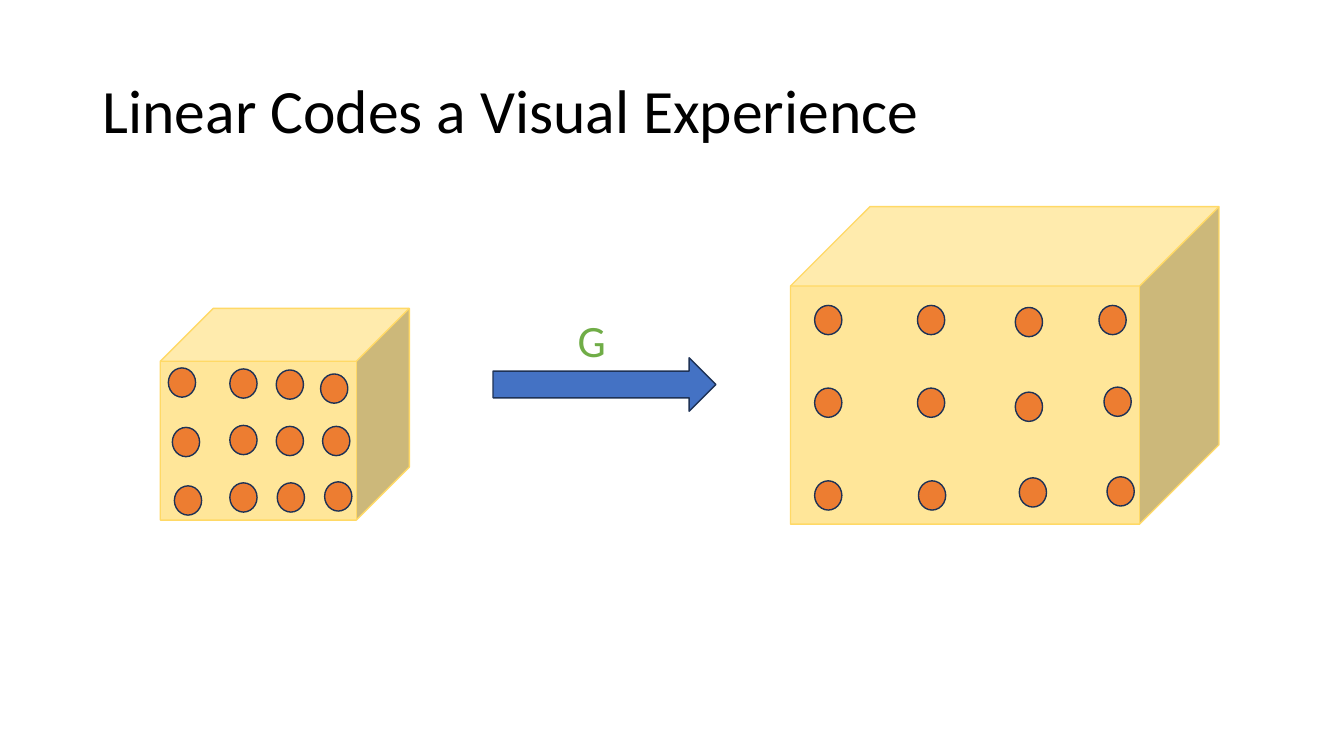
import pptx
import pptx.dml.color
import pptx.enum.shapes
import pptx.enum.text
import pptx.util

Inches = pptx.util.Inches
SHAPE = pptx.enum.shapes.MSO_SHAPE
ANCHOR = pptx.enum.text.MSO_ANCHOR

DOT_SIZE = (0.27, 0.29)
# Dot offsets from the top left corner of each cube, one line per row of dots
MESSAGE_DOTS = [
    (0.08, 0.59), (0.69, 0.60), (1.15, 0.61), (1.59, 0.65),
    (0.12, 1.18), (0.69, 1.16), (1.15, 1.17), (1.61, 1.17),
    (0.14, 1.76), (0.69, 1.73), (1.16, 1.73), (1.63, 1.72),
]
CODEWORD_DOTS = [
    (0.24, 0.98), (1.26, 0.98), (2.23, 1.00), (3.06, 0.98),
    (0.24, 1.80), (1.26, 1.80), (2.23, 1.84), (3.11, 1.79),
    (0.24, 2.72), (1.27, 2.72), (2.27, 2.69), (3.14, 2.68),
]


def color(value):
    return pptx.dml.color.RGBColor.from_string(value)


def add_filled_shape(page, kind, box, fill, line):
    shape = page.shapes.add_shape(kind, *map(Inches, box))
    shape.shadow.inherit = False
    shape.fill.solid()
    shape.fill.fore_color.rgb = color(fill)
    shape.line.color.rgb = color(line)
    shape.line.width = pptx.util.Pt(1)
    return shape


def add_text(page, box, text, size, fill, wrap=True, anchor=ANCHOR.TOP):
    frame = page.shapes.add_textbox(*map(Inches, box)).text_frame
    frame.word_wrap = wrap
    frame.vertical_anchor = anchor
    para = frame.paragraphs[0]
    span = para.add_run()
    span.text = text
    span.font.name = "Calibri"
    span.font.size = pptx.util.Pt(size)
    span.font.color.rgb = color(fill)
    return para


def add_title(page, box):
    para = add_text(page, box, "Linear Codes a Visual Experience", 44, "000000",
                    anchor=ANCHOR.MIDDLE)
    para.line_spacing = 0.9


def add_code_space(page, box, dots):
    """Draw a cube with dots scattered over its front face."""
    left, top = box[:2]
    add_filled_shape(page, SHAPE.CUBE, box, "FFE699", "FFD966")
    for across, down in dots:
        dot_box = (left + across, top + down, *DOT_SIZE)
        add_filled_shape(page, SHAPE.OVAL, dot_box, "ED7D31", "1E3256")


def add_generator_arrow(page, box):
    """Draw the block arrow with the generator matrix label above it."""
    left, top = box[:2]
    add_filled_shape(page, SHAPE.RIGHT_ARROW, box, "4472C4", "1E3256")
    label_box = (left + 0.74, top - 0.5, 0.49, 0.64)
    add_text(page, label_box, "G", 32, "70AD47", wrap=False)


def main():
    deck = pptx.Presentation()
    deck.slide_width = Inches(13.33)
    deck.slide_height = Inches(7.5)
    page = deck.slides.add_slide(deck.slide_layouts[6])
    add_title(page, (0.92, 0.4, 11.5, 1.45))
    add_code_space(page, (1.59, 3.06, 2.47, 2.1), MESSAGE_DOTS)
    add_generator_arrow(page, (4.89, 3.55, 2.21, 0.53))
    add_code_space(page, (7.84, 2.05, 4.25, 3.15), CODEWORD_DOTS)
    deck.save("out.pptx")


if __name__ == "__main__":
    main()
